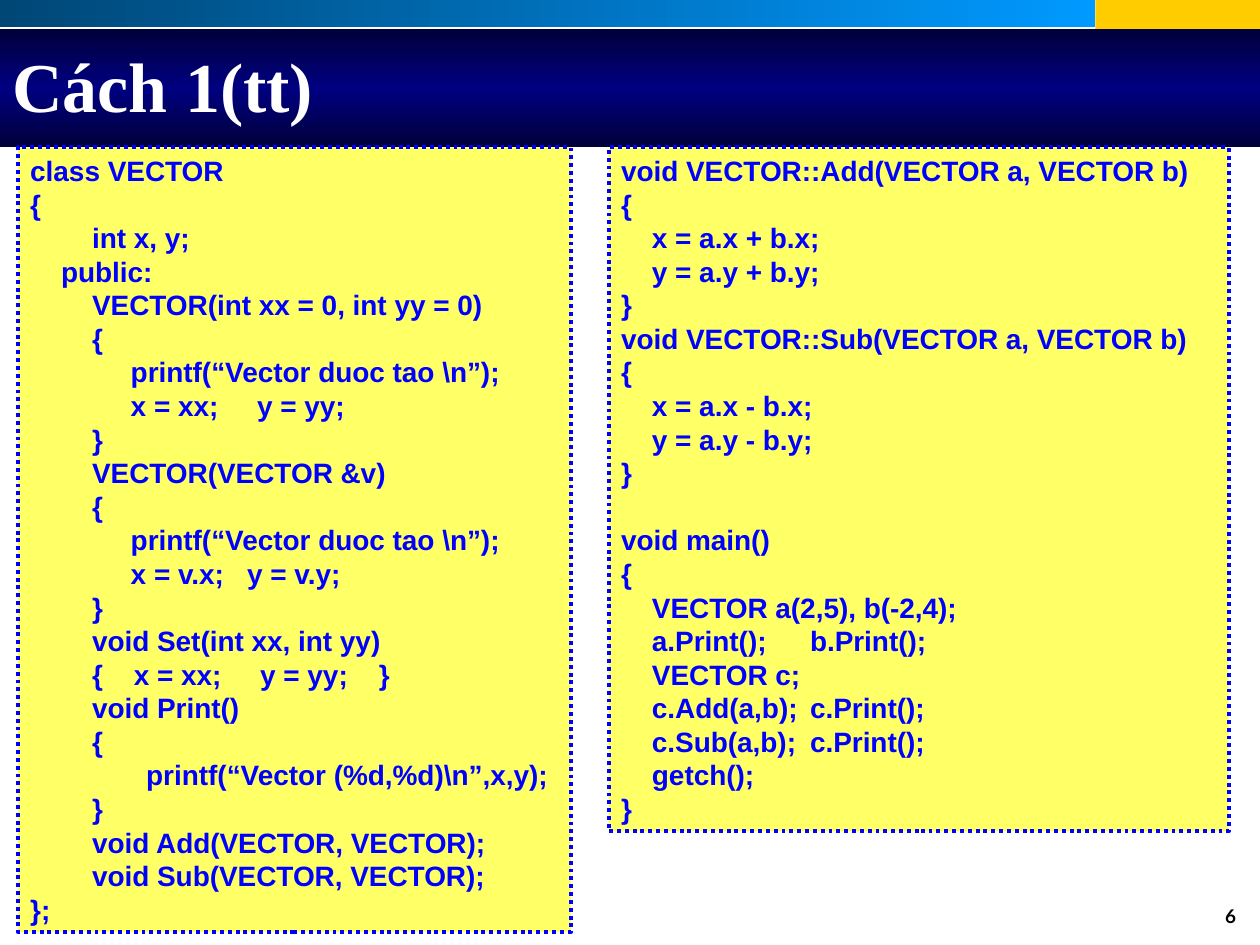
import copy

import pptx
import pptx.dml.color
import pptx.enum.dml
import pptx.enum.shapes
import pptx.enum.text
import pptx.oxml.ns
import pptx.util

Cm, Pt = pptx.util.Cm, pptx.util.Pt
RGBColor = pptx.dml.color.RGBColor
PP_ALIGN = pptx.enum.text.PP_ALIGN
MSO_ANCHOR = pptx.enum.text.MSO_ANCHOR

WHITE = RGBColor(0xFF, 0xFF, 0xFF)
BLACK = RGBColor(0x00, 0x00, 0x00)
GOLD = RGBColor(0xFF, 0xCC, 0x00)
TEAL = RGBColor(0x00, 0x47, 0x76)
SKY = RGBColor(0x00, 0x99, 0xFF)
MIDNIGHT = RGBColor(0x00, 0x00, 0x3B)
NAVY = RGBColor(0x00, 0x00, 0x80)
YELLOW = RGBColor(0xFF, 0xFF, 0x66)
BLUE = RGBColor(0x00, 0x00, 0xFF)

CODE_PITCH = Pt(19.2)

CLASS_CODE = r"""class VECTOR
{
        int x, y;
    public:
        VECTOR(int xx = 0, int yy = 0)
        {
             printf(“Vector duoc tao \n”);
             x = xx;     y = yy;
        }
        VECTOR(VECTOR &v)
        {
             printf(“Vector duoc tao \n”);
             x = v.x;   y = v.y;
        }
        void Set(int xx, int yy)
        {    x = xx;     y = yy;    }
        void Print()
        {
               printf(“Vector (%d,%d)\n”,x,y);
        }
        void Add(VECTOR, VECTOR);
        void Sub(VECTOR, VECTOR);
};"""

METHODS_CODE = """void VECTOR::Add(VECTOR a, VECTOR b)
{
    x = a.x + b.x;
    y = a.y + b.y;
}
void VECTOR::Sub(VECTOR a, VECTOR b)
{
    x = a.x - b.x;
    y = a.y - b.y;
}"""

MAIN_CODE = """void main()
{
    VECTOR a(2,5), b(-2,4);
    a.Print();\tb.Print();
    VECTOR c;
    c.Add(a,b);\tc.Print();
    c.Sub(a,b);\tc.Print();
    getch();
}"""


def write(p, text, font="Arial", size=16, color=BLUE, align=PP_ALIGN.LEFT,
          spacing=None, before=None):
    """Put one bold run into paragraph p."""
    p.alignment = align
    if spacing is not None:
        p.line_spacing = spacing
    if before is not None:
        p.space_before = before
    r = p.add_run()
    r.text = text
    r.font.name = font
    r.font.size = Pt(size)
    r.font.bold = True
    r.font.color.rgb = color


class Deck:
    """Presentation style and the slide being filled; lengths are in cm."""

    def __init__(self, width, height):
        self.prs = pptx.Presentation()
        self.prs.slide_width, self.prs.slide_height = Cm(width), Cm(height)
        self.s = self.prs.slides.add_slide(self.prs.slide_layouts[6])

    def rect(self, x, y, w, h, fill):
        sp = self.s.shapes.add_shape(pptx.enum.shapes.MSO_SHAPE.RECTANGLE,
                                     Cm(x), Cm(y), Cm(w), Cm(h))
        sp.shadow.inherit = False
        sp.line.fill.background()
        sp.fill.solid()
        sp.fill.fore_color.rgb = fill
        return sp

    def gradient(self, x, y, w, h, colors, angle):
        """Rectangle with evenly spaced gradient stops."""
        sp = self.rect(x, y, w, h, colors[0])
        sp.fill.gradient()
        sp.fill.gradient_angle = angle
        stops = next(sp._element.spPr.iter(pptx.oxml.ns.qn("a:gsLst")))
        for _ in colors[2:]:
            stops.append(copy.deepcopy(stops[0]))
        for i, (stop, color) in enumerate(zip(sp.fill.gradient_stops, colors)):
            stop.position = i / (len(colors) - 1)
            stop.color.rgb = color

    def label(self, x, y, w, h, text, anchor=MSO_ANCHOR.TOP, **fmt):
        tf = self.s.shapes.add_textbox(Cm(x), Cm(y), Cm(w), Cm(h)).text_frame
        tf.word_wrap = True
        tf.vertical_anchor = anchor
        write(tf.paragraphs[0], text, **fmt)

    def code(self, x, y, w, h, *blocks):
        """Dotted box of code; blocks are set one line apart."""
        sp = self.rect(x, y, w, h, YELLOW)
        sp.line.color.rgb = BLUE
        sp.line.width = Pt(2.25)
        sp.line.dash_style = pptx.enum.dml.MSO_LINE.ROUND_DOT
        tf = sp.text_frame
        tf.word_wrap = True
        tf.vertical_anchor = MSO_ANCHOR.TOP
        p = tf.paragraphs[0]
        for b, block in enumerate(blocks):
            for i, line in enumerate(block.split("\n")):
                if b or i:
                    p = tf.add_paragraph()
                write(p, line, spacing=CODE_PITCH,
                      before=CODE_PITCH if b and not i else None)


def main():
    deck = Deck(25.4, 19.05)
    deck.rect(22.08, 0, 3.32, 0.7, GOLD)
    deck.gradient(0, 0, 22.08, 0.55, [TEAL, SKY], 0)
    deck.gradient(0, 0.59, 25.4, 2.37, [MIDNIGHT, NAVY, MIDNIGHT], 90)
    deck.label(19.25, 18.21, 5.92, 0.81, "6", font="Lato", size=10.8,
               color=BLACK, align=PP_ALIGN.RIGHT, spacing=0.8)
    deck.label(0, 0.43, 24.13, 2.54, "Cách 1(tt)", anchor=MSO_ANCHOR.MIDDLE,
               font="Times New Roman", size=40, color=WHITE)
    deck.code(0.36, 2.97, 11.15, 15.82, CLASS_CODE)
    deck.code(12.27, 2.97, 12.5, 13.79, METHODS_CODE, MAIN_CODE)
    deck.prs.save("out.pptx")


if __name__ == "__main__":
    main()
